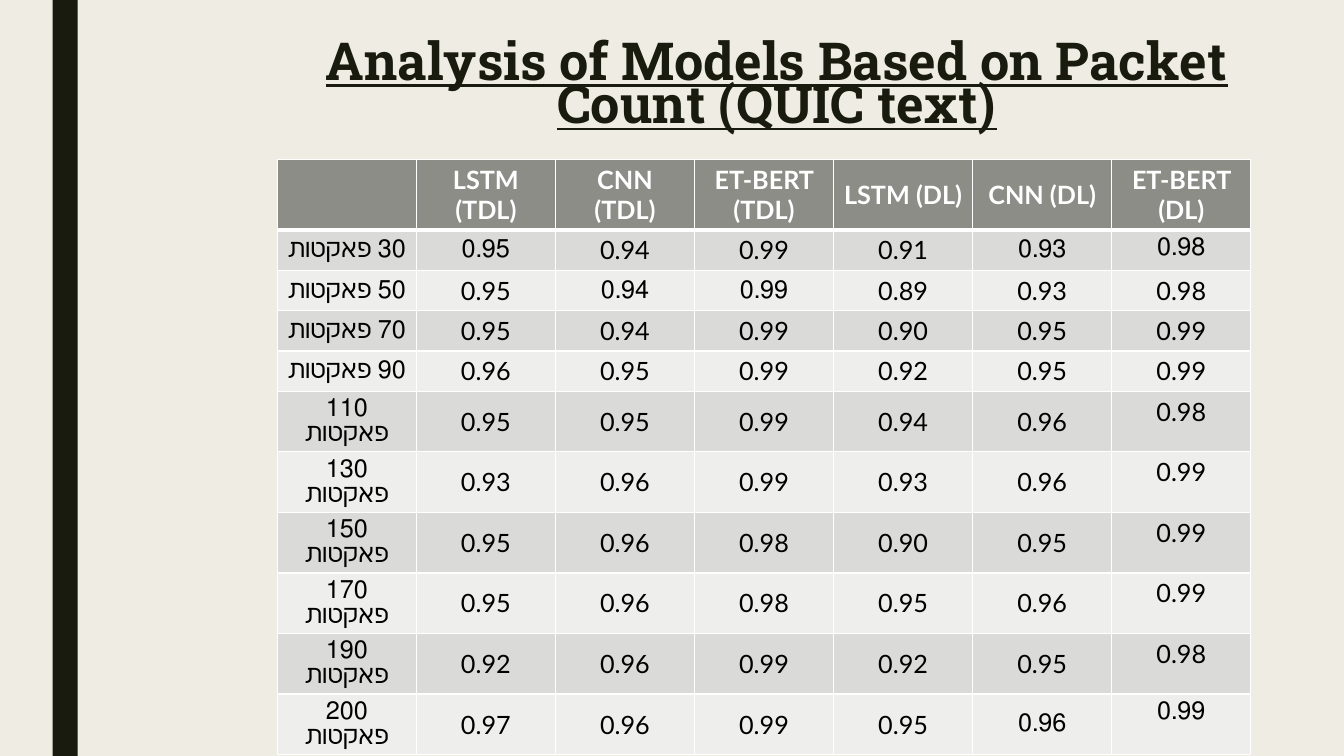
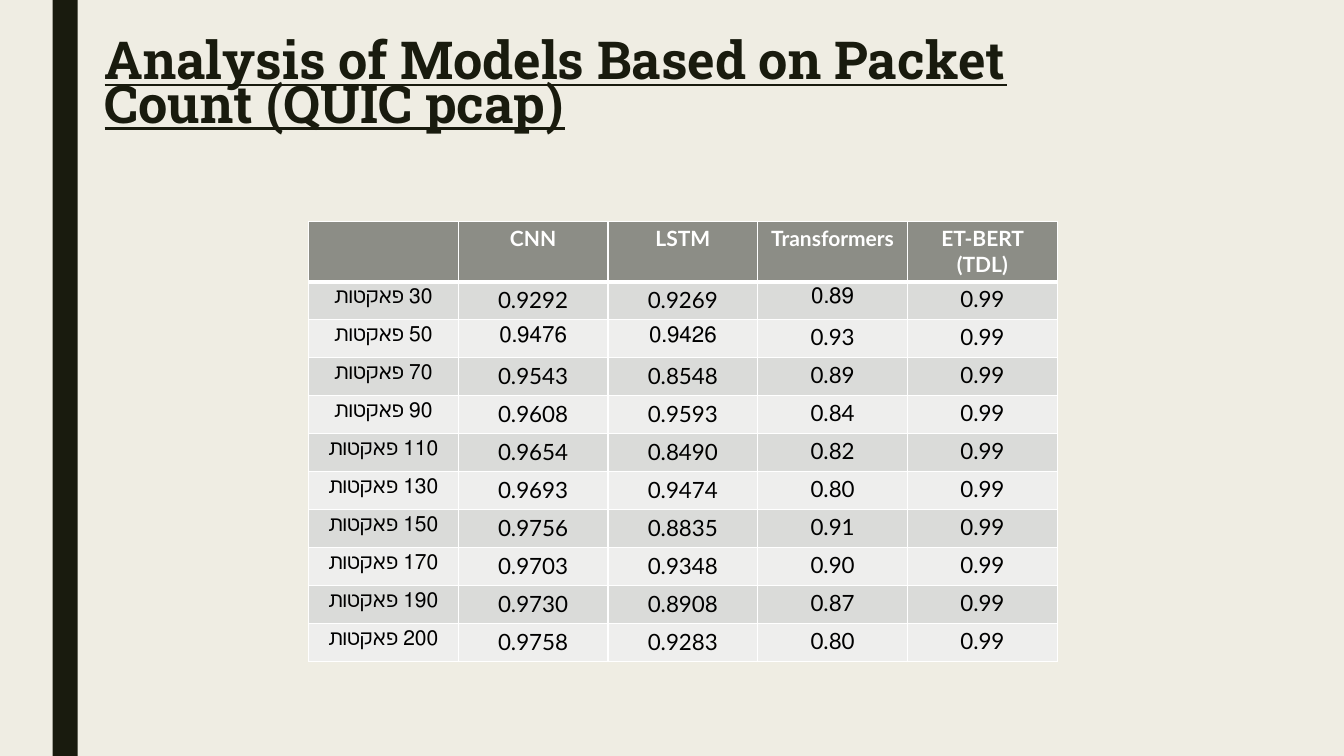
import pptx
import pptx.dml.color
import pptx.enum.shapes
import pptx.enum.text
import pptx.oxml
import pptx.oxml.ns
import pptx.util

Pt = pptx.util.Pt
ALIGN = pptx.enum.text.PP_ALIGN
ANCHOR = pptx.enum.text.MSO_ANCHOR

SLIDE_WIDTH, SLIDE_HEIGHT = 960, 540
COLORS = {
    "background": "EFEDE3",
    "ink": "191B0E",
    "header": "8C8D86",
    "odd_row": "DADBD9",
    "even_row": "EEEEED",
    "white": "FFFFFF",
    "black": "000000",
}
TITLE_FONT, TABLE_FONT = "Roboto Slab", "Lato"

PACKET_COUNTS = [30, 50, 70, 90, 110, 130, 150, 170, 190, 200]

TEXT_MODELS = ["LSTM (TDL)", "CNN (TDL)", "ET-BERT (TDL)",
               "LSTM (DL)", "CNN (DL)", "ET-BERT (DL)"]
TEXT_SCORES = [
    ["0.95", "0.94", "0.99", "0.91", "0.93", "0.98"],
    ["0.95", "0.94", "0.99", "0.89", "0.93", "0.98"],
    ["0.95", "0.94", "0.99", "0.90", "0.95", "0.99"],
    ["0.96", "0.95", "0.99", "0.92", "0.95", "0.99"],
    ["0.95", "0.95", "0.99", "0.94", "0.96", "0.98"],
    ["0.93", "0.96", "0.99", "0.93", "0.96", "0.99"],
    ["0.95", "0.96", "0.98", "0.90", "0.95", "0.99"],
    ["0.95", "0.96", "0.98", "0.95", "0.96", "0.99"],
    ["0.92", "0.96", "0.99", "0.92", "0.95", "0.98"],
    ["0.97", "0.96", "0.99", "0.95", "0.96", "0.99"],
]
TEXT_RTL = {(0, 1), (1, 1), (1, 5), (1, 6), (2, 2), (2, 3), (10, 5), (10, 6)}

PCAP_MODELS = ["CNN", "LSTM", "Transformers", "ET-BERT (TDL)"]
PCAP_SCORES = [
    ["0.9292", "0.9269", "0.89", "0.99"],
    ["0.9476", "0.9426", "0.93", "0.99"],
    ["0.9543", "0.8548", "0.89", "0.99"],
    ["0.9608", "0.9593", "0.84", "0.99"],
    ["0.9654", "0.8490", "0.82", "0.99"],
    ["0.9693", "0.9474", "0.80", "0.99"],
    ["0.9756", "0.8835", "0.91", "0.99"],
    ["0.9703", "0.9348", "0.90", "0.99"],
    ["0.9730", "0.8908", "0.87", "0.99"],
    ["0.9758", "0.9283", "0.80", "0.99"],
]
PCAP_RTL = {(1, 3), (2, 1), (2, 2)}


def rgb(name):
    return pptx.dml.color.RGBColor.from_string(COLORS[name])


def paint(fill, color):
    fill.solid()
    fill.fore_color.rgb = rgb(color)


def write(frame, text, *, size, font=TABLE_FONT, color="black", bold=False,
          underline=False, align=ALIGN.CENTER, spacing=None, rtl=False):
    paragraph = frame.paragraphs[0]
    paragraph.alignment = align
    if spacing:
        paragraph.line_spacing = spacing
    if rtl:
        paragraph._p.get_or_add_pPr().set("rtl", "1")
    run = paragraph.add_run()
    run.text = text
    run.font.size = Pt(size)
    run.font.name = font
    run.font.bold = bold
    run.font.underline = underline
    run.font.color.rgb = rgb(color)


def add_side_band(slide):
    band = slide.shapes.add_shape(pptx.enum.shapes.MSO_SHAPE.RECTANGLE,
                                  Pt(37.5), 0, Pt(18), Pt(SLIDE_HEIGHT))
    band.shadow.inherit = False
    paint(band.fill, "ink")
    band.line.fill.background()


def add_title(slide, text, box, align):
    frame = slide.shapes.add_textbox(*map(Pt, box)).text_frame
    frame.word_wrap = True
    frame.margin_top = frame.margin_bottom = 0
    frame.vertical_anchor = ANCHOR.MIDDLE
    write(frame, text, size=37.4, font=TITLE_FONT, color="ink", bold=True,
          underline=True, align=align, spacing=0.69)


def border_cell(cell, bottom_width):
    """Draw white lines round a cell; call before filling it."""
    properties = cell._tc.get_or_add_tcPr()
    for side, width in (("L", 1), ("R", 1), ("T", 1), ("B", bottom_width)):
        properties.append(pptx.oxml.parse_xml(
            f'<a:ln{side} {pptx.oxml.ns.nsdecls("a")} w="{Pt(width)}">'
            f'<a:solidFill><a:srgbClr val="{COLORS["white"]}"/></a:solidFill>'
            f'</a:ln{side}>'))


def add_score_table(slide, models, scores, box, row_heights, *, header_size,
                    score_size, rtl_cells, paddings, middle_columns=()):
    """Packet counts down, models across; paddings maps column to padding."""
    rows = [[""] + models] + [[f"{count} פאקטות"] + row
                              for count, row in zip(PACKET_COUNTS, scores)]
    left, top, width = box
    table = slide.shapes.add_table(
        len(rows), len(rows[0]), Pt(left), Pt(top), Pt(width),
        Pt(sum(row_heights))).table
    table.first_row = table.horz_banding = False
    for column in table.columns:
        column.width = Pt(width / len(rows[0]))
    for r, (row, height) in enumerate(zip(rows, row_heights)):
        table.rows[r].height = Pt(height)
        header = r == 0
        fill = "header" if header else "odd_row" if r % 2 else "even_row"
        for c, text in enumerate(row):
            label = c == 0
            cell = table.cell(r, c)
            if middle_columns and (header or c in middle_columns):
                cell.vertical_anchor = ANCHOR.MIDDLE
            padding = 3.6 if header else paddings.get(c, 3.6)
            cell.margin_top = cell.margin_bottom = Pt(padding)
            cell.margin_left = cell.margin_right = Pt(6.8)
            border_cell(cell, 3 if header else 1)
            paint(cell.fill, fill)
            if text:
                write(cell.text_frame, text,
                      size=header_size if header or label else score_size,
                      color="white" if header else "black", bold=header,
                      rtl=label or (r, c) in rtl_cells)


def add_base_slide(deck):
    slide = deck.slides.add_slide(deck.slide_layouts[6])
    paint(slide.background.fill, "background")
    add_side_band(slide)
    return slide


def add_text_slide(deck):
    slide = add_base_slide(deck)
    add_title(slide, "Analysis of Models Based on Packet Count (QUIC text)",
              (177, 28, 756, 71.3), ALIGN.CENTER)
    add_score_table(slide, TEXT_MODELS, TEXT_SCORES, (198, 113.8, 695.5),
                    [50.4] + [28.8] * 4 + [43.2] * 6,
                    header_size=18, score_size=18, rtl_cells=TEXT_RTL,
                    paddings={0: 0}, middle_columns=range(6))


def add_pcap_slide(deck):
    slide = add_base_slide(deck)
    add_title(slide, "Analysis of Models Based on Packet Count (QUIC pcap)",
              (67.7, 27.5, 755, 71.3), ALIGN.LEFT)
    add_score_table(slide, PCAP_MODELS, PCAP_SCORES, (220.3, 158, 535),
                    [42.5] + [27.1] * 10,
                    header_size=15, score_size=16, rtl_cells=PCAP_RTL,
                    paddings={3: 3, 4: 3})


def main():
    deck = pptx.Presentation()
    deck.slide_width, deck.slide_height = Pt(SLIDE_WIDTH), Pt(SLIDE_HEIGHT)
    add_text_slide(deck)
    add_pcap_slide(deck)
    deck.save("out.pptx")


if __name__ == "__main__":
    main()
